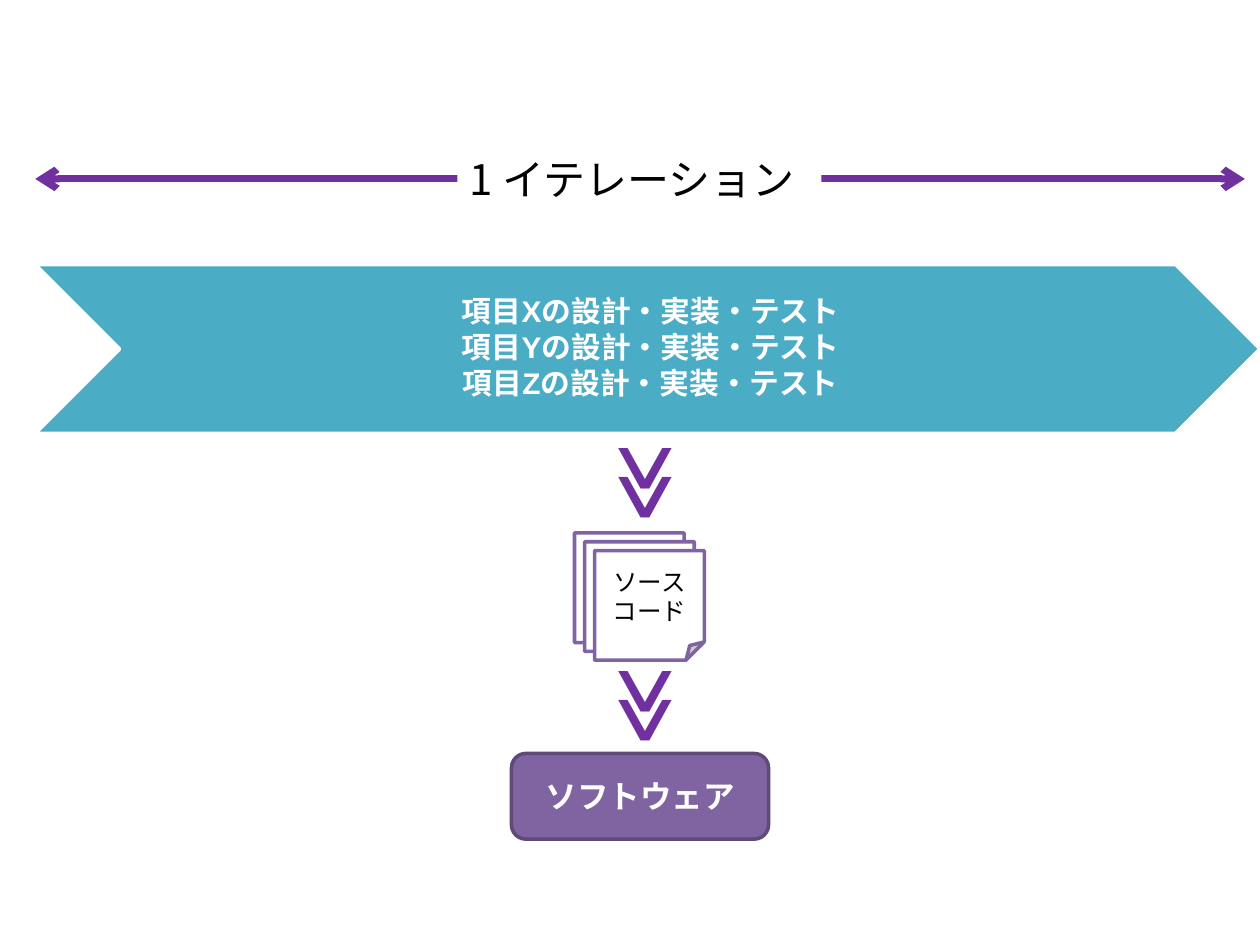
from dataclasses import dataclass

from lxml.etree import SubElement
from pptx import Presentation
from pptx.dml.color import RGBColor
from pptx.enum.shapes import MSO_CONNECTOR, MSO_SHAPE
from pptx.enum.text import MSO_ANCHOR, MSO_AUTO_SIZE, PP_ALIGN
from pptx.oxml.ns import qn
from pptx.util import Inches, Pt


@dataclass(frozen=True)
class Theme:
    white: str = "FFFFFF"
    black: str = "000000"
    teal: str = "4BACC6"
    violet: str = "8064A2"
    edge: str = "5F4A78"
    arrow: str = "7030A0"
    sans: str = "Noto Sans CJK JP"
    latin: str = "Arial"
    sign: str = "Calibri"
    small: int = 14
    item: int = 17
    strong: int = 18
    head: int = 24
    mark: int = 44


THEME = Theme()


def paint(run, size, color, bold=False, face=THEME.sans):
    font = run.font
    font.size, font.bold, font.name = Pt(size), bold, face
    font.color.rgb = RGBColor.from_string(color)
    if face == THEME.sans:
        SubElement(run._r.get_or_add_rPr(), qn("a:ea")).set("typeface", face)


def add_box(slide, kind, place, fill, edge=None):
    box = slide.shapes.add_shape(kind, *map(Inches, place))
    box.shadow.inherit = False
    box.fill.solid()
    box.fill.fore_color.rgb = RGBColor.from_string(fill)
    if edge:
        box.line.color.rgb = RGBColor.from_string(edge)
        box.line.width = Pt(2)
    else:
        box.line.fill.background()
    return box


def write(box, text, size, color, bold=False, face=THEME.sans,
          align=PP_ALIGN.CENTER):
    frame = box.text_frame
    frame.text = text
    for para in frame.paragraphs:
        para.alignment = align
        for run in para.runs:
            paint(run, size, color, bold, face)
    return frame


def fit(frame):
    """Let the box grow around unwrapped text."""
    frame.word_wrap = False
    frame.auto_size = MSO_AUTO_SIZE.SHAPE_TO_FIT_TEXT
    frame.vertical_anchor = MSO_ANCHOR.TOP


def add_span(slide):
    """Draw the two-headed line and the label that sits on it."""
    ends = map(Inches, (0.28, 1.42, 9.88, 1.42))
    line = slide.shapes.add_connector(MSO_CONNECTOR.STRAIGHT, *ends)
    line.line.color.rgb = RGBColor.from_string(THEME.arrow)
    line.line.width = Pt(4)
    stroke = line.line._get_or_add_ln()
    for end in ("a:headEnd", "a:tailEnd"):
        SubElement(stroke, qn(end)).set("type", "arrow")
    SubElement(line._element.spPr, qn("a:effectLst"))

    label = add_box(slide, MSO_SHAPE.RECTANGLE, (3.63, 1.17, 2.89, 0.5),
                    THEME.white)
    fit(write(label, "1 イテレーション", THEME.head, THEME.black,
              align=PP_ALIGN.LEFT))


def add_work(slide, items):
    """Draw the chevron and one line of work for each item."""
    add_box(slide, MSO_SHAPE.CHEVRON, (0.28, 2.1, 9.72, 1.34),
            THEME.teal, THEME.white)
    place = map(Inches, (0.95, 2.1, 8.38, 1.34))
    frame = slide.shapes.add_textbox(*place).text_frame
    frame.word_wrap = True
    frame.vertical_anchor = MSO_ANCHOR.MIDDLE
    frame.margin_left = Inches(0.07)
    frame.margin_top = frame.margin_right = frame.margin_bottom = Inches(0.02)
    for i, item in enumerate(items):
        para = frame.add_paragraph() if i else frame.paragraphs[0]
        para.alignment = PP_ALIGN.CENTER
        para.line_spacing = 0.9
        para.space_after = Pt(2)
        parts = (("項目", THEME.sans), (item, THEME.latin),
                 ("の設計・実装・テスト", THEME.sans))
        for text, face in parts:
            run = para.add_run()
            run.text = text
            paint(run, THEME.item, THEME.white, True, face)


def add_pages(slide, text, count=3):
    """Stack pages down and to the right; the front one holds the text."""
    for i in range(count):
        place = (4.56 + 0.08 * i, 4.23 + 0.07 * i, 0.87, 0.87)
        page = add_box(slide, MSO_SHAPE.FOLDED_CORNER, place,
                       THEME.white, THEME.violet)
    frame = write(page, text, THEME.small, THEME.black)
    frame.vertical_anchor = MSO_ANCHOR.MIDDLE


def add_mark(slide, top):
    place = map(Inches, (4.66, top, 0.82, 0.84))
    box = slide.shapes.add_textbox(*place)
    box.rotation = 270
    fit(write(box, "≪", THEME.mark, THEME.arrow, True, THEME.sign,
              PP_ALIGN.LEFT))


def add_result(slide, text):
    box = add_box(slide, MSO_SHAPE.ROUNDED_RECTANGLE,
                  (4.06, 5.98, 2.04, 0.68), THEME.violet, THEME.edge)
    frame = write(box, text, THEME.strong, THEME.white, True)
    frame.vertical_anchor = MSO_ANCHOR.MIDDLE


def main():
    deck = Presentation()
    deck.slide_width, deck.slide_height = Inches(10), Inches(7.5)
    slide = deck.slides.add_slide(deck.slide_layouts[6])
    add_work(slide, "XYZ")
    add_pages(slide, "ソース\nコード")
    for top in (3.42, 5.19):
        add_mark(slide, top)
    add_result(slide, "ソフトウェア")
    add_span(slide)
    deck.save("out.pptx")


if __name__ == "__main__":
    main()
